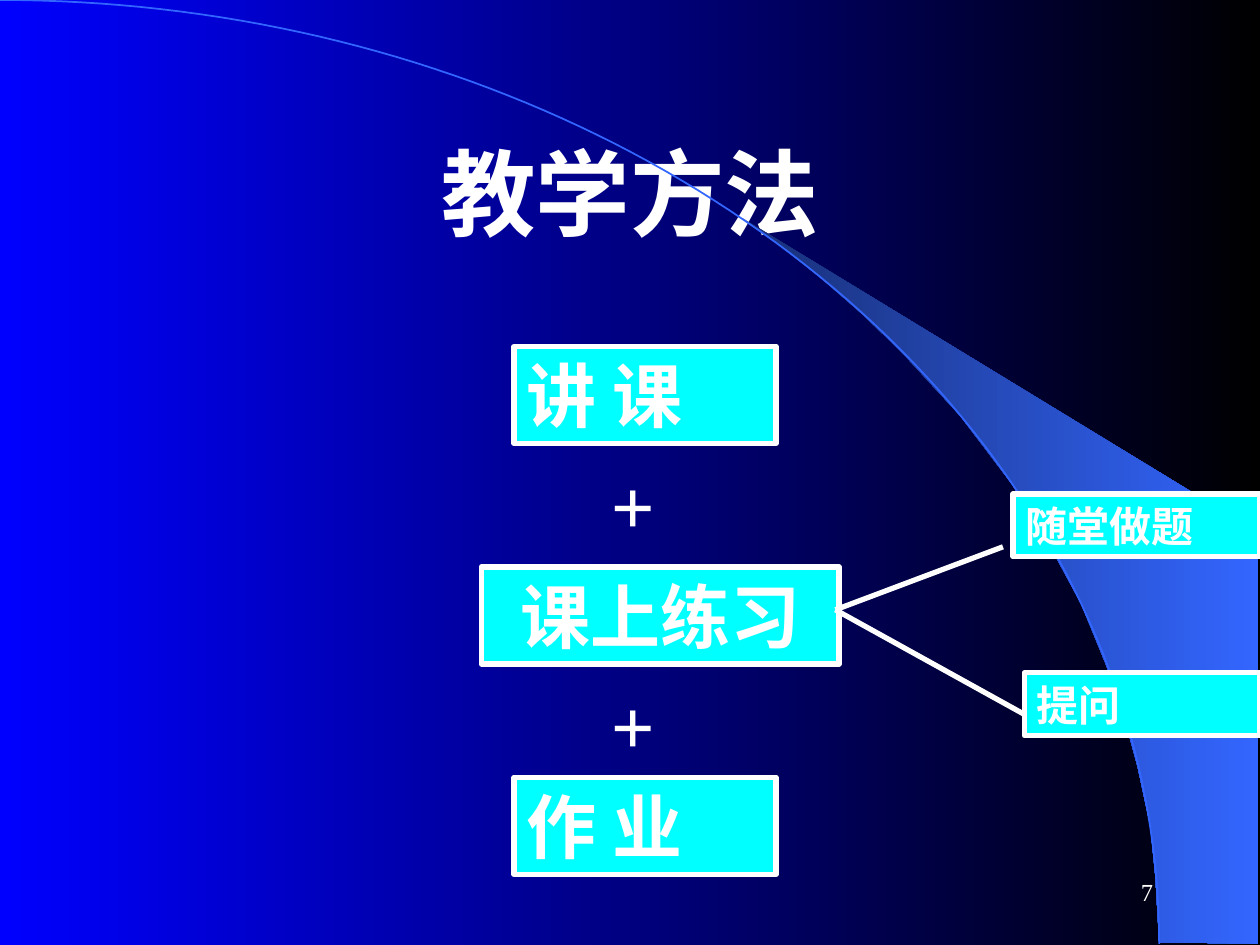
import math
from dataclasses import dataclass

from lxml import etree
from pptx import Presentation
from pptx.dml.color import RGBColor
from pptx.enum import shapes, text
from pptx.oxml.ns import qn
from pptx.util import Inches, Pt


@dataclass(frozen=True)
class Theme:
    white: RGBColor = RGBColor(0xFF, 0xFF, 0xFF)
    cyan: RGBColor = RGBColor(0x00, 0xFF, 0xFF)
    arc: RGBColor = RGBColor(0x33, 0x66, 0xFF)
    wedge_dark: RGBColor = RGBColor(0x18, 0x2F, 0x76)
    back_left: RGBColor = RGBColor(0x00, 0x00, 0xFF)
    back_right: RGBColor = RGBColor(0x00, 0x00, 0x00)
    title_font: str = "Comic Neue"
    body_font: str = "Times New Roman"
    title_size: int = 54
    plus_size: int = 44
    method_size: int = 40
    detail_size: int = 24
    number_size: int = 14
    border: int = 3


@dataclass(frozen=True)
class Label:
    words: str
    left: float
    top: float
    width: float
    height: float
    size: int
    boxed: bool = True
    bold: bool = True
    align: text.PP_ALIGN = text.PP_ALIGN.LEFT
    anchor: text.MSO_ANCHOR = text.MSO_ANCHOR.TOP


THEME = Theme()
ARC_WIDTH, ARC_HEIGHT = 9.2, 7.49
ARC_STEPS = 90
WEDGE = [
    (9.2, 7.48), (9.99, 7.49), (9.99, 4.23), (5.89, 1.73), (6.24, 1.99),
    (6.53, 2.22), (6.85, 2.5), (7.16, 2.8), (7.62, 3.3), (8.03, 3.84),
    (8.32, 4.31), (8.58, 4.79), (8.78, 5.28), (8.93, 5.72), (9.03, 6.09),
    (9.13, 6.56), (9.17, 6.96),
]
LABELS = [
    Label("7", 7.17, 6.83, 2.08, 0.5, THEME.number_size, boxed=False, bold=False,
          align=text.PP_ALIGN.RIGHT, anchor=text.MSO_ANCHOR.MIDDLE),
    Label("讲 课", 4.08, 2.75, 2.08, 0.77, THEME.method_size),
    Label("+", 4.75, 3.58, 1.17, 0.84, THEME.plus_size, boxed=False),
    Label("课上练习", 3.82, 4.5, 2.84, 0.77, THEME.method_size, align=text.PP_ALIGN.CENTER),
    Label("+", 4.75, 5.33, 1, 0.84, THEME.plus_size, boxed=False),
    Label("作 业", 4.08, 6.17, 2.08, 0.77, THEME.method_size),
    Label("随堂做题", 8.04, 3.92, 1.96, 0.5, THEME.detail_size),
    Label("提问", 8.13, 5.34, 1.87, 0.5, THEME.detail_size),
]
BRANCH_START = (6.63, 4.84)
BRANCH_ENDS = [(7.96, 4.34), (8.13, 5.67)]


def set_gradient(fill, start: RGBColor, end: RGBColor) -> None:
    fill.gradient()
    fill.gradient_angle = 0
    for stop, color, position in zip(fill.gradient_stops, (start, end), (0, 1)):
        stop.color.rgb = color
        stop.position = position


def add_outline(slide, points: list[tuple[float, float]], closed: bool):
    corners = [(Inches(x), Inches(y)) for x, y in points]
    builder = slide.shapes.build_freeform(*corners[0])
    builder.add_line_segments(corners[1:], close=closed)
    outline = builder.convert_to_shape()
    outline.shadow.inherit = False
    return outline


def add_backdrop(slide) -> None:
    set_gradient(slide.background.fill, THEME.back_left, THEME.back_right)
    wedge = add_outline(slide, WEDGE, True)
    set_gradient(wedge.fill, THEME.wedge_dark, THEME.arc)
    wedge.line.fill.background()
    angles = [math.pi / 2 * step / ARC_STEPS for step in range(ARC_STEPS + 1)]
    arc = add_outline(
        slide,
        [(ARC_WIDTH * math.sin(a), ARC_HEIGHT * (1 - math.cos(a))) for a in angles],
        False,
    )
    arc.fill.background()
    arc.line.color.rgb = THEME.arc
    arc.line.width = Pt(1)


def style_paragraph(paragraph, font_name: str, size: int, bold: bool, align: text.PP_ALIGN) -> None:
    paragraph.alignment = align
    paragraph.font.name = font_name
    paragraph.font.size = Pt(size)
    paragraph.font.bold = bold
    paragraph.font.color.rgb = THEME.white


def add_title(slide, words: str) -> None:
    title = slide.shapes.title
    title.left, title.top = Inches(0.75), Inches(0.67)
    title.width, title.height = Inches(8.5), Inches(1.25)
    frame = title.text_frame
    frame.text = words
    frame.auto_size = text.MSO_AUTO_SIZE.NONE
    frame.vertical_anchor = text.MSO_ANCHOR.MIDDLE
    heading = frame.paragraphs[0]
    heading.line_spacing = 1.5
    style_paragraph(heading, THEME.title_font, THEME.title_size, True, text.PP_ALIGN.CENTER)


def add_label(slide, label: Label) -> None:
    place = [Inches(v) for v in (label.left, label.top, label.width, label.height)]
    if label.boxed:
        holder = slide.shapes.add_shape(shapes.MSO_SHAPE.RECTANGLE, *place)
        holder.shadow.inherit = False
        holder.fill.solid()
        holder.fill.fore_color.rgb = THEME.cyan
        holder.line.color.rgb = THEME.white
        holder.line.width = Pt(THEME.border)
    else:
        holder = slide.shapes.add_textbox(*place)
    frame = holder.text_frame
    frame.word_wrap = True
    frame.vertical_anchor = label.anchor
    frame.text = label.words
    style_paragraph(frame.paragraphs[0], THEME.body_font, label.size, label.bold, label.align)


def add_branch(slide, start: tuple[float, float], end: tuple[float, float]) -> None:
    branch = slide.shapes.add_connector(
        shapes.MSO_CONNECTOR.STRAIGHT, *[Inches(v) for v in start + end]
    )
    branch.line.color.rgb = THEME.white
    branch.line.width = Pt(THEME.border)
    etree.SubElement(branch._element.spPr, qn("a:effectLst"))


def main() -> None:
    deck = Presentation()
    deck.slide_width, deck.slide_height = Inches(10), Inches(7.5)
    slide = deck.slides.add_slide(deck.slide_layouts.get_by_name("Title Only"))
    add_backdrop(slide)
    add_title(slide, "教学方法")
    for label in LABELS:
        add_label(slide, label)
    for end in BRANCH_ENDS:
        add_branch(slide, BRANCH_START, end)
    deck.save("out.pptx")


if __name__ == "__main__":
    main()
